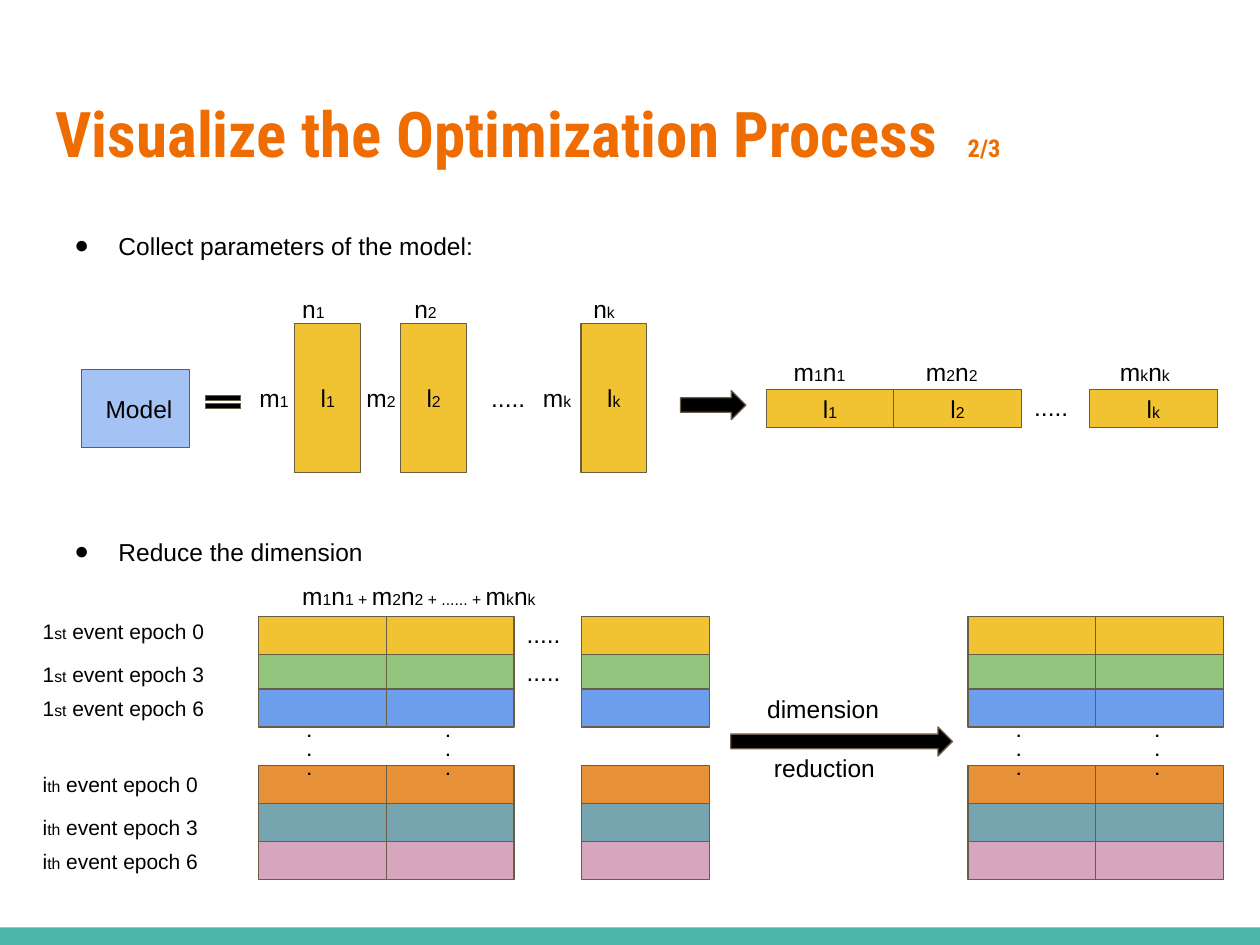
import dataclasses

import lxml.etree
import pptx
import pptx.dml.color
import pptx.enum.shapes
import pptx.enum.text
import pptx.oxml.ns
import pptx.util

Pt = pptx.util.Pt
Shape = pptx.enum.shapes.MSO_SHAPE
Anchor = pptx.enum.text.MSO_ANCHOR
Align = pptx.enum.text.PP_ALIGN
qn = pptx.oxml.ns.qn


@dataclasses.dataclass(frozen=True)
class Theme:
    """Colours, fonts and type sizes of the slide."""
    title: str = "EF6C00"
    text: str = "000000"
    outline: str = "695D46"
    footer: str = "4DB6AC"
    model: str = "A4C2F4"
    layer: str = "F1C232"
    epochs: tuple = ("F1C232", "93C47D", "6D9EEB", "E69138", "76A5AF", "D5A6BD")
    title_font: str = "Roboto Condensed"
    body_font: str = "Arial"
    title_size: int = 36
    body_size: int = 14
    label_size: int = 12
    small_size: int = 9


theme = Theme()
color = pptx.dml.color.RGBColor.from_string

presentation = pptx.Presentation()
presentation.slide_width, presentation.slide_height = Pt(720), Pt(540)
slide = presentation.slides.add_slide(presentation.slide_layouts[3])
title, *bullet_boxes = slide.placeholders


def write(shape, lines, size=theme.body_size, align=Align.LEFT, anchor=Anchor.TOP,
          bold=False, gap=0):
    """Write lines into a shape; every second piece between bars is small."""
    frame = shape.text_frame
    frame.word_wrap = True
    frame.auto_size = pptx.enum.text.MSO_AUTO_SIZE.NONE
    frame.vertical_anchor = anchor
    frame.margin_left = frame.margin_right = Pt(7.2)
    frame.margin_top = frame.margin_bottom = Pt(7.2)
    for number, line in enumerate(lines):
        paragraph = frame.add_paragraph() if number else frame.paragraphs[0]
        paragraph.alignment = align
        paragraph.space_before = Pt(gap if number else 0)
        for position, piece in enumerate(line.split("|")):
            run = paragraph.add_run()
            run.text = piece
            run.font.name = theme.body_font
            run.font.size = Pt(theme.small_size if position % 2 else size)
            run.font.bold = bold
            run.font.color.rgb = color(theme.text)


def add_box(box, fill, text=None, kind=Shape.RECTANGLE, outline=theme.outline):
    """Add a filled preset shape with optional centred text."""
    shape = slide.shapes.add_shape(kind, *map(Pt, box))
    shape.shadow.inherit = False
    shape.fill.solid()
    shape.fill.fore_color.rgb = color(fill)
    if outline:
        shape.line.color.rgb = color(outline)
        shape.line.width = Pt(0.75)
    else:
        shape.line.fill.background()
    if text:
        write(shape, [text], align=Align.CENTER, anchor=Anchor.MIDDLE)
    return shape


# Footer bar and title
add_box((0, 530, 720, 10), theme.footer, outline=None)
title.left, title.top, title.width, title.height = map(Pt, (24.5, 46.8, 671, 74.2))
frame = title.text_frame
frame.auto_size = pptx.enum.text.MSO_AUTO_SIZE.NONE
frame.vertical_anchor = Anchor.TOP
frame.margin_top = frame.margin_left = Pt(7.2)
paragraph = frame.paragraphs[0]
paragraph.alignment = Align.LEFT
for text, size, tracking in (("Visualize the Optimization Process", theme.title_size, 0),
                             (" ", theme.title_size, 9),
                             ("2/3", theme.body_size, 0)):
    run = paragraph.add_run()
    run.text = text
    run.font.name = theme.title_font
    run.font.size = Pt(size)
    run.font.bold = True
    run.font.color.rgb = color(theme.title)
    if tracking:
        run.font._element.set("spc", str(tracking * 100))

# Bulleted steps
steps = (("Collect parameters of the model:", 124.6, 43.2),
         ("Reduce the dimension", 299.5, 33.1))
for shape, (text, top, height) in zip(bullet_boxes, steps):
    shape.left, shape.top, shape.width, shape.height = map(Pt, (24.5, top, 373.7, height))
    write(shape, [text])
    properties = shape.text_frame.paragraphs[0]._p.get_or_add_pPr()
    properties.set("marL", str(Pt(36)))
    properties.set("indent", str(Pt(-25.2)))
    bullet_color = lxml.etree.SubElement(properties, qn("a:buClr"))
    lxml.etree.SubElement(bullet_color, qn("a:srgbClr"), val=theme.text)
    lxml.etree.SubElement(properties, qn("a:buFont"), typeface=theme.body_font)
    lxml.etree.SubElement(properties, qn("a:buChar"), char="●")

# Model, its layers, and the flattened layers
add_box((46.5, 211, 62, 44.6), theme.model, " Model")
equal_sign = add_box((113.8, 223.2, 27.4, 13), theme.text, kind=Shape.MATH_EQUAL)
equal_sign.adjustments[0], equal_sign.adjustments[1] = 0.235, 0.118
add_box((388.8, 223.2, 37.4, 16.6), theme.text, kind=Shape.RIGHT_ARROW)

labels = []
layers = (("1", 168.5, 141.1, 165.6, 437.8, 446.4),
          ("2", 229, 202.3, 229.7, 510.7, 522),
          ("k", 332, 303.1, 332, 622.6, 632.9))
for index, layer_left, m_left, n_left, flat_left, product_left in layers:
    add_box((layer_left, 185, 37.6, 85), theme.layer, f"l|{index}")
    add_box((flat_left, 222.6, 73, 21.7), theme.layer, f"l|{index}")
    labels += [((m_left, 211.7, 43.2, 43.2), f"m|{index}"),
               ((n_left, 160.6, 43.2, 43.2), f"n|{index}"),
               ((product_left, 196.6, 56.2, 43.2), f"m|{index}|n|{index}")]

# Parameter matrix before and after the reduction
row_tops = (352.2, 373.9, 393.8, 437.4, 459, 480.8)
for top, fill in zip(row_tops, theme.epochs):
    for left in (147.7, 220.8, 332.4, 553.2, 626.2):
        add_box((left, top, 73, 21.7), fill)

for ordinal, group_top in (("1|st|", 346.3), ("i|th|", 433.6)):
    for epoch, offset in ((0, 0), (3, 24.5), (6, 44.1)):
        label = slide.shapes.add_textbox(*map(Pt, (17.3, group_top + offset, 126.7, 27.4)))
        write(label, [f"{ordinal} event epoch {epoch}"], theme.label_size)

for left, top in ((273.6, 211.7), (583.9, 216.7), (293.8, 346.3), (293.8, 368)):
    labels.append(((left, top, 43.2, 43.2), "....."))
labels.append(((165.6, 324.7, 272.2, 43.2),
               "m|1|n|1 + |m|2|n|2 + ...... + |m|k|n|k"))
for box, text in labels:
    write(slide.shapes.add_textbox(*map(Pt, box)), [text])

for left in (168.5, 247.7, 573.9, 653):
    dots = slide.shapes.add_textbox(*map(Pt, (left, 405.4, 19.4, 43.2)))
    write(dots, ["."] * 3, theme.small_size, bold=True)

# Reduction arrow
add_box((417.6, 415.4, 126.7, 16.6), theme.text, kind=Shape.RIGHT_ARROW)
caption = slide.shapes.add_textbox(*map(Pt, (431.3, 389.5, 99.4, 51.8)))
write(caption, ["dimension", " reduction"], gap=17)

presentation.save("out.pptx")
